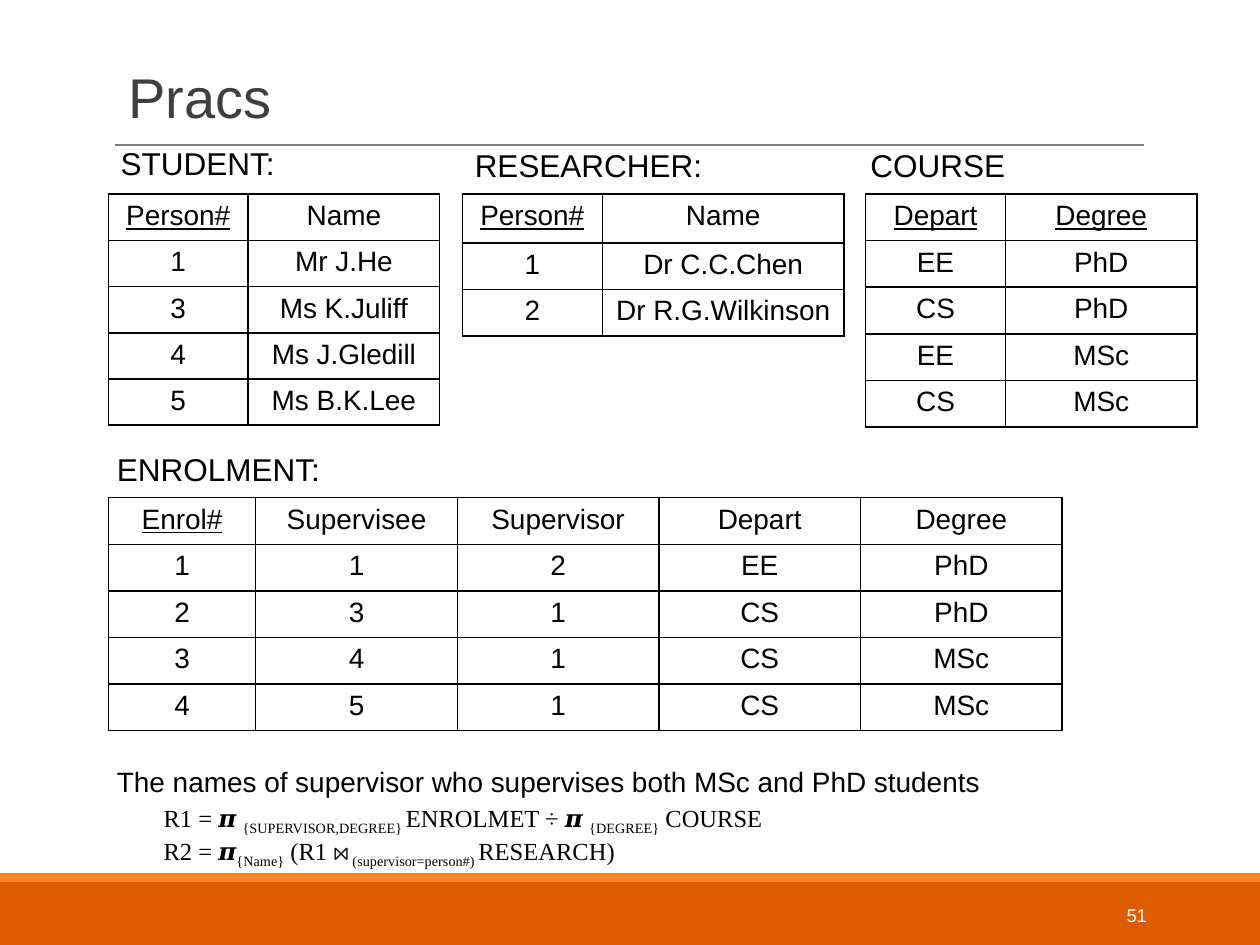
import lxml.etree
import pptx
import pptx.dml.color
import pptx.enum.shapes
import pptx.enum.text
import pptx.oxml.ns
import pptx.util

Inches = pptx.util.Inches
Pt = pptx.util.Pt
qn = pptx.oxml.ns.qn
ALIGN = pptx.enum.text.PP_ALIGN
ANCHOR = pptx.enum.text.MSO_ANCHOR
AUTO_SIZE = pptx.enum.text.MSO_AUTO_SIZE

COLORS = {"text": "000000", "title": "3F3F3F", "rule": "7F7F7F",
          "footer": "DC5E00", "stripe": "FF8427", "number": "FFFFFF"}
RGB = {name: pptx.dml.color.RGBColor.from_string(value) for name, value in COLORS.items()}

TITLE = {"size": Pt(32), "name": "Arial"}
LABEL = {"size": Pt(18), "name": "Arial"}
BODY = {"size": Pt(16), "name": "Arial"}
NUMBER = {"size": Pt(10.5), "name": "Arial"}
FORMULA = {"size": Pt(14), "name": "Times New Roman"}
UNDERLINE = {"underline": True}
SUBSCRIPT = -25000


def write_text(frame, paragraphs, font_format, color="text", alignment=ALIGN.LEFT):
    for index, runs in enumerate(paragraphs):
        paragraph = frame.paragraphs[0] if index == 0 else frame.add_paragraph()
        paragraph.alignment = alignment
        for text, baseline in runs:
            run = paragraph.add_run()
            run.text = text
            for attribute, value in font_format.items():
                setattr(run.font, attribute, value)
            run.font.color.rgb = RGB[color]
            if baseline:
                run.font._element.set("baseline", str(baseline))


def add_text(slide, box, paragraphs, font_format, color="text", alignment=ALIGN.LEFT):
    shape = slide.shapes.add_textbox(*map(Inches, box))
    shape.text_frame.word_wrap = True
    write_text(shape.text_frame, paragraphs, font_format, color, alignment)
    return shape.text_frame


presentation = pptx.Presentation()
presentation.slide_width = Inches(10)
presentation.slide_height = Inches(7.5)
slide = presentation.slides.add_slide(presentation.slide_layouts[5])

title = slide.shapes.title
title.left, title.top, title.width, title.height = map(Inches, (0.92, 0.31, 8.17, 0.77))
title_format = {"vertical_anchor": ANCHOR.BOTTOM, "word_wrap": True, "auto_size": AUTO_SIZE.NONE}
for attribute, value in title_format.items():
    setattr(title.text_frame, attribute, value)
write_text(title.text_frame, [[("Pracs", 0)]], TITLE, "title")
title.text_frame.paragraphs[0].line_spacing = 0.85

for color, top, height in (("footer", 7, 0.5), ("stripe", 6.93, 0.07)):
    band = slide.shapes.add_shape(pptx.enum.shapes.MSO_SHAPE.RECTANGLE,
                                  0, Inches(top), Inches(10), Inches(height))
    band.shadow.inherit = False
    band.fill.solid()
    band.fill.fore_color.rgb = RGB[color]
    band.line.fill.background()

rule = slide.shapes.add_connector(pptx.enum.shapes.MSO_CONNECTOR.STRAIGHT,
                                  Inches(0.91), Inches(1.15), Inches(9.08), Inches(1.15))
rule.line.color.rgb = RGB["rule"]
rule.line.width = Pt(0.75)
lxml.etree.SubElement(rule._element.spPr, qn("a:effectLst"))

number_frame = add_text(slide, (8.12, 7.06, 1.08, 0.4), [[("51", 0)]],
                        NUMBER, "number", ALIGN.RIGHT)
number_frame.vertical_anchor = ANCHOR.MIDDLE

relations = [
    {"label": "STUDENT:", "label_at": (0.86, 1.09), "at": (0.86, 1.54), "keys": 1,
     "columns": [1.11, 1.52], "heights": [0.35] * 5,
     "rows": [["Person#", "Name"], ["1", "Mr J.He"], ["3", "Ms K.Juliff"],
              ["4", "Ms J.Gledill"], ["5", "Ms B.K.Lee"]]},
    {"label": "RESEARCHER:", "label_at": (3.67, 1.11), "at": (3.67, 1.54), "keys": 1,
     "columns": [1.11, 1.92], "heights": [0.39, 0.35, 0.37],
     "rows": [["Person#", "Name"], ["1", "Dr C.C.Chen"], ["2", "Dr R.G.Wilkinson"]]},
    {"label": "COURSE", "label_at": (6.81, 1.11), "at": (6.87, 1.54), "keys": 2,
     "columns": [1.11, 1.52], "heights": [0.37] * 5,
     "rows": [["Depart", "Degree"], ["EE", "PhD"], ["CS", "PhD"], ["EE", "MSc"], ["CS", "MSc"]]},
    {"label": "ENROLMENT:", "label_at": (0.83, 3.52), "at": (0.86, 3.95), "keys": 1,
     "columns": [1.17] + [1.6] * 4, "heights": [0.37] * 5,
     "rows": [["Enrol#", "Supervisee", "Supervisor", "Depart", "Degree"],
              ["1", "1", "2", "EE", "PhD"], ["2", "3", "1", "CS", "PhD"],
              ["3", "4", "1", "CS", "MSc"], ["4", "5", "1", "CS", "MSc"]]},
]

for relation in relations:
    add_text(slide, (*relation["label_at"], 3, 0.4), [[(relation["label"], 0)]], LABEL)
    rows, columns, heights = relation["rows"], relation["columns"], relation["heights"]
    box = (*relation["at"], sum(columns), sum(heights))
    table = slide.shapes.add_table(len(rows), len(columns), *map(Inches, box)).table
    table.first_row = False
    table.horz_banding = False
    for column, width in zip(table.columns, columns):
        column.width = Inches(width)
    for row, height in zip(table.rows, heights):
        row.height = Inches(height)
    for row_index, values in enumerate(rows):
        for column_index, value in enumerate(values):
            cell = table.cell(row_index, column_index)
            is_key = row_index == 0 and column_index < relation["keys"]
            cell_format = {**BODY, **UNDERLINE} if is_key else BODY
            write_text(cell.text_frame, [[(value, 0)]], cell_format, alignment=ALIGN.CENTER)
            cell.fill.background()
            properties = cell._tc.get_or_add_tcPr()
            for position, side in enumerate(("lnL", "lnR", "lnT", "lnB")):
                border = lxml.etree.Element(qn(f"a:{side}"), w=str(Pt(1)))
                fill = lxml.etree.SubElement(border, qn("a:solidFill"))
                lxml.etree.SubElement(fill, qn("a:srgbClr"), val=COLORS["text"])
                properties.insert(position, border)

question = "The names of supervisor who supervises both MSc and PhD students"
add_text(slide, (0.83, 6.02, 7.14, 0.37), [[(question, 0)]], BODY)

formulas = [
    [("R1 = 𝝅 ", 0), ("{SUPERVISOR,DEGREE} ", SUBSCRIPT), ("ENROLMET ÷ 𝝅 ", 0),
     ("{DEGREE}", SUBSCRIPT), (" COURSE", 0)],
    [("R2 = 𝝅", 0), ("{Name}", SUBSCRIPT), (" (R1 ⋈", 0),
     (" (supervisor=person#) ", SUBSCRIPT), ("RESEARCH)", 0)],
]
formula_frame = add_text(slide, (1.2, 6.27, 8.29, 0.67), formulas, FORMULA)
formula_frame.margin_top = formula_frame.margin_bottom = Inches(0.1)

presentation.save("out.pptx")
